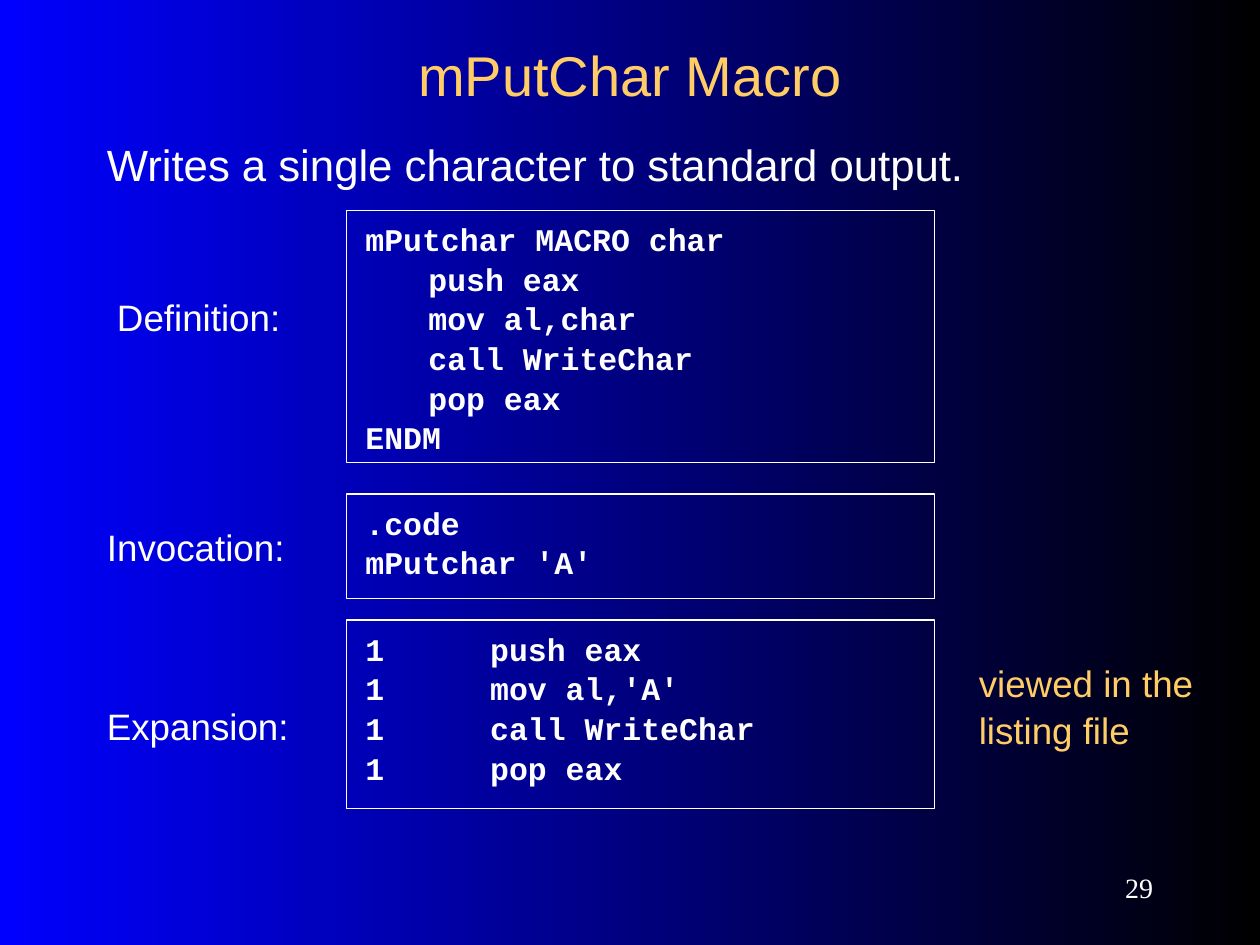
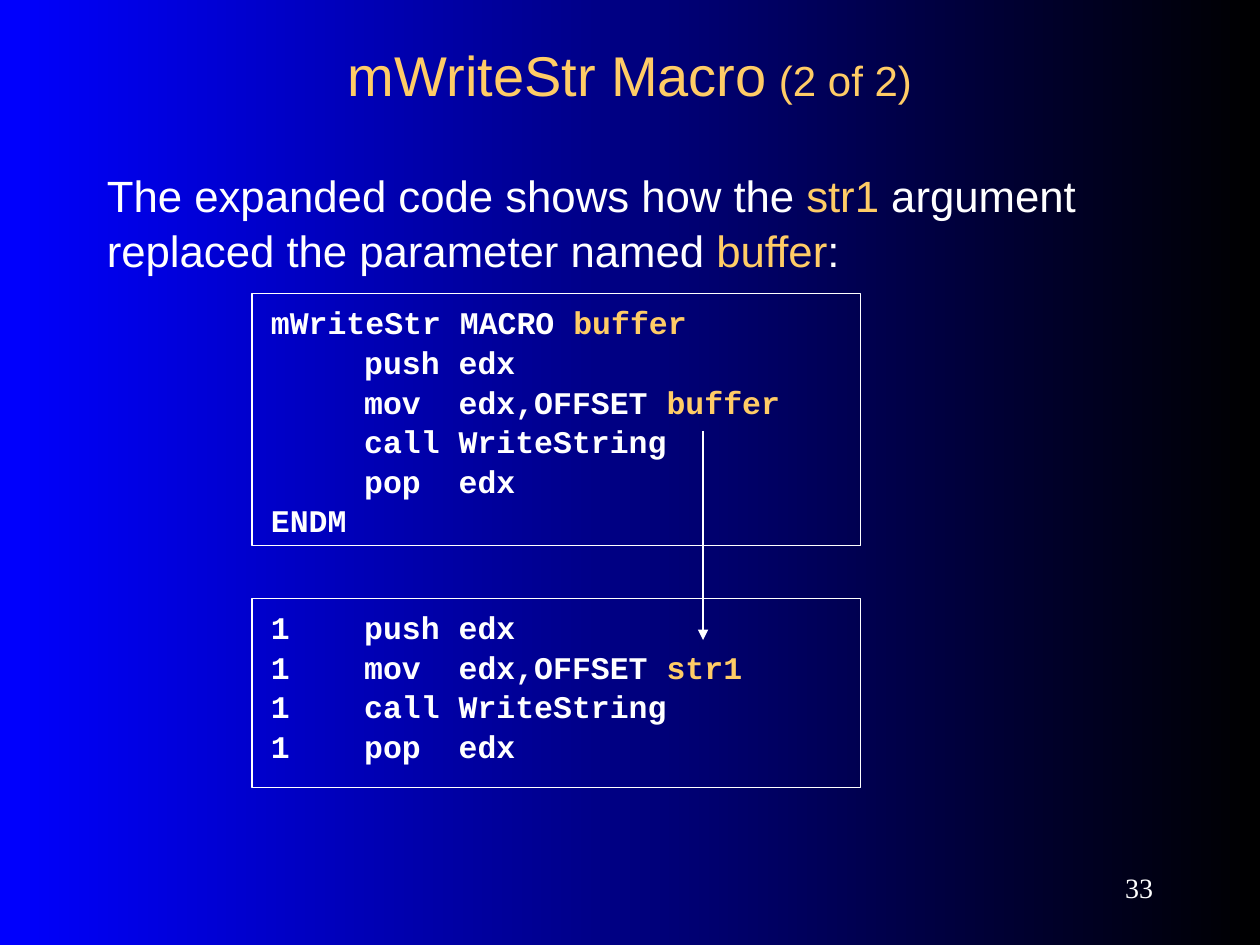
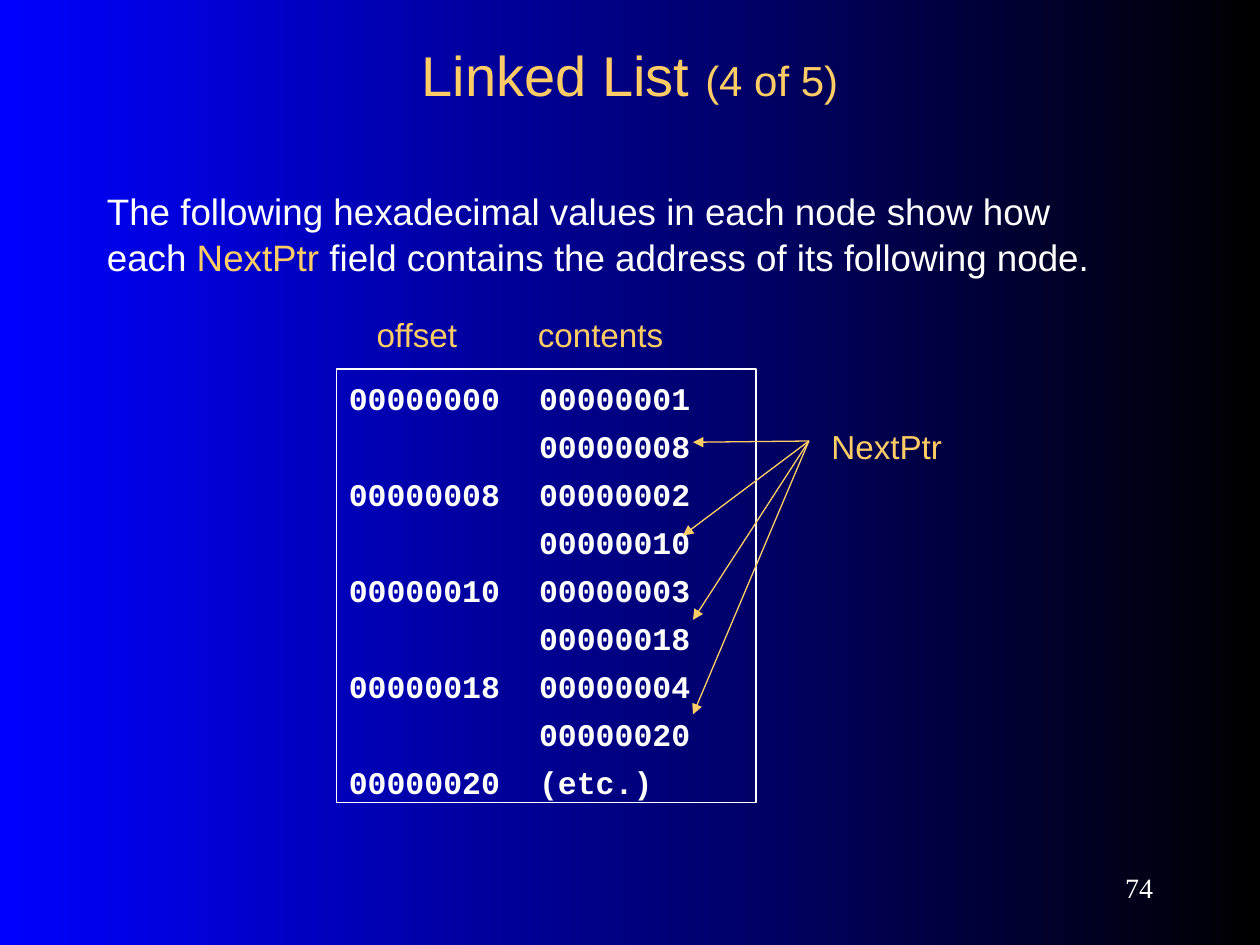
from pptx import Presentation
from pptx.dml.color import RGBColor
from pptx.enum.shapes import MSO_CONNECTOR, MSO_SHAPE
from pptx.enum.text import MSO_ANCHOR, PP_ALIGN
from pptx.oxml.ns import qn
from pptx.util import Inches, Pt
from lxml.etree import SubElement

COLORS = {"night": "000000", "blue": "0000FF", "white": "FFFFFF", "gold": "FFCC66"}


def put_text(slide, at, lines, size, color="white", accent="gold", accent_size=None,
             font="Arial", inset=(0.1, 0.15), spacing=1.05, before=0, tabs=(),
             framed=False, align=PP_ALIGN.LEFT, anchor=MSO_ANCHOR.TOP):
    box = [Inches(n) for n in at]
    if framed:
        holder = slide.shapes.add_shape(MSO_SHAPE.RECTANGLE, *box)
        holder.shadow.inherit = False
        holder.fill.background()
        holder.line.color.rgb = RGBColor.from_string(COLORS["white"])
        holder.line.width = Pt(0.75)
    else:
        holder = slide.shapes.add_textbox(*box)
    frame = holder.text_frame
    frame.word_wrap = True
    frame.vertical_anchor = anchor
    frame.margin_left = frame.margin_right = Inches(inset[0])
    frame.margin_top = frame.margin_bottom = Inches(inset[1])
    for row, line in enumerate(lines):
        paragraph = frame.add_paragraph() if row else frame.paragraphs[0]
        paragraph.alignment = align
        paragraph.line_spacing = spacing
        paragraph.space_before = Pt(before if row else 0)
        if tabs:
            stops = SubElement(paragraph._p.get_or_add_pPr(), qn("a:tabLst"))
            for stop in tabs:
                SubElement(stops, qn("a:tab"), pos=str(Inches(stop)), algn="l")
        paragraph.font.name = font
        paragraph.font.size = Pt(size)
        paragraph.font.bold = framed
        paragraph.font.color.rgb = RGBColor.from_string(COLORS[color])
        for part, words in enumerate(line.split("|")):
            if words:
                run = paragraph.add_run()
                run.text = words
                if part % 2:
                    run.font.color.rgb = RGBColor.from_string(COLORS[accent])
                    if accent_size:
                        run.font.size = Pt(accent_size)


def put_arrow(slide, start, end, color):
    arrow = slide.shapes.add_connector(
        MSO_CONNECTOR.STRAIGHT, *[Inches(n) for n in (*start, *end)])
    arrow.line.color.rgb = RGBColor.from_string(COLORS[color])
    arrow.line.width = Pt(0.75)
    SubElement(arrow.line._get_or_add_ln(), qn("a:tailEnd"), type="triangle")
    SubElement(arrow._element.spPr, qn("a:effectLst"))


CODE = dict(size=18, font="Courier New", inset=(0.15, 0.2), spacing=0.53, before=11.2,
            framed=True)

prs = Presentation()
prs.slide_width, prs.slide_height = Inches(10), Inches(7.5)
backdrop = prs.slide_master.background.fill
backdrop.gradient()
backdrop.gradient_angle = 180
for stop, name in zip(backdrop.gradient_stops, ("night", "blue")):
    stop.color.rgb = RGBColor.from_string(COLORS[name])

slides = []
for title, number in [("mPutChar Macro", "29"),
                      ("mWriteStr Macro| (2 of 2)", "33"),
                      ("Linked List |(4 of 5)", "74")]:
    slide = prs.slides.add_slide(prs.slide_layouts[6])
    put_text(slide, (0.75, 0.25, 8.5, 0.67), [title], 32, "gold", accent_size=24,
             inset=(0.1, 0.05), spacing=1, align=PP_ALIGN.CENTER, anchor=MSO_ANCHOR.MIDDLE)
    put_text(slide, (8.17, 6.83, 1.08, 0.42), [number], 16, font="Times New Roman",
             inset=(0.1, 0.05), spacing=1, align=PP_ALIGN.RIGHT, anchor=MSO_ANCHOR.MIDDLE)
    slides.append(slide)
put_char, write_str, linked_list = slides

put_text(put_char, (0.75, 0.92, 8.42, 0.72),
         ["Writes a single character to standard output."], 25)
for label, left, label_top, top, height, tab, code in [
    ("Definition:", 0.83, 2.17, 1.67, 2, 0.5,
     ["mPutchar MACRO char", "\tpush eax", "\tmov al,char", "\tcall WriteChar",
      "\tpop eax", "ENDM"]),
    ("Invocation:", 0.75, 4, 3.92, 0.83, 0.5, [".code", "mPutchar 'A'"]),
    ("Expansion:", 0.75, 5.42, 4.92, 1.5, 0.99,
     ["1\tpush eax", "1\tmov al,'A'", "1\tcall WriteChar", "1\tpop eax"]),
]:
    put_text(put_char, (left, label_top, 2.58, 0.65), [label], 21)
    put_text(put_char, (2.75, top, 4.67, height), code, tabs=[tab], **CODE)
put_text(put_char, (7.67, 5.08, 2, 1), ["viewed in the listing file"], 21, "gold")

put_text(write_str, (0.75, 1.17, 8.42, 1.13),
         ["The expanded code shows how the |str1| argument replaced the parameter "
          "named |buffer|:"], 25)
for top, height, code in [
    (2.33, 2, ["mWriteStr MACRO |buffer", "\tpush edx", "\tmov  edx,OFFSET |buffer",
               "\tcall WriteString", "\tpop  edx", "ENDM"]),
    (4.75, 1.5, ["1\tpush edx", "1\tmov  edx,OFFSET |str1", "1\tcall WriteString",
                 "1\tpop  edx"]),
]:
    put_text(write_str, (2, top, 4.83, height), code, tabs=[0.74], **CODE)
put_arrow(write_str, (5.58, 3.42), (5.58, 5.08), "white")

put_text(linked_list, (0.75, 1.33, 8.33, 1),
         ["The following hexadecimal values in each node show how each |NextPtr| field "
          "contains the address of its following node."], 21)
put_text(linked_list, (2.67, 2.33, 3.25, 0.62), ["\toffset\tcontents"], 19, "gold",
         tabs=[0.22, 1.5])
memory = []
for node in range(4):
    memory += [f"{node * 8:08X}\t{node + 1:08X}", f"\t{node * 8 + 8:08X}"]
memory.append("00000020\t(etc.)")
put_text(linked_list, (2.67, 2.93, 3.33, 3.44), memory, tabs=[1.51],
         **{**CODE, "inset": (0.1, 0.15), "spacing": 0.75})
put_text(linked_list, (6.5, 3.22, 1.33, 0.62), ["NextPtr"], 19, "gold")
for target in [(5.5, 3.51), (5.42, 4.25), (5.5, 4.92), (5.5, 5.67)]:
    put_arrow(linked_list, (6.42, 3.5), target, "gold")

prs.save("out.pptx")
